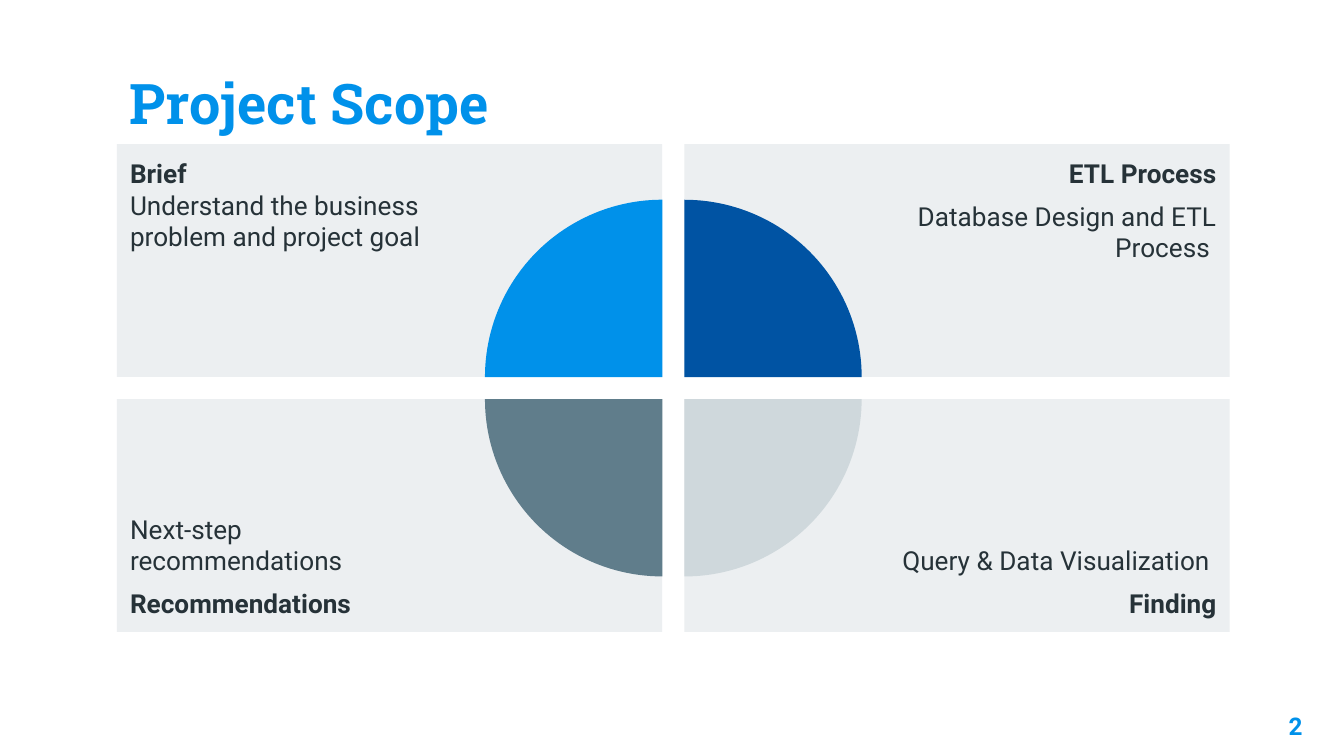
from pptx import Presentation
from pptx.dml.color import RGBColor
from pptx.enum import shapes, text
from pptx.util import Pt


def paint(fill, color):
    fill.solid()
    fill.fore_color.rgb = RGBColor.from_string(color)


def style(p, size, color, bold, font="Roboto", align=text.PP_ALIGN.LEFT):
    p.alignment = align
    for r in p.runs:
        r.font.name = font
        r.font.size = Pt(size)
        r.font.bold = bold
        paint(r.font.fill, color)


LEFT, RIGHT = text.PP_ALIGN.LEFT, text.PP_ALIGN.RIGHT
TOP, BOTTOM = text.MSO_ANCHOR.TOP, text.MSO_ANCHOR.BOTTOM
X, Y, W, H, GAP = 62.6, 77.2, 292.2, 124.8, 11.8
PIE = 190

prs = Presentation()
prs.slide_width, prs.slide_height = Pt(720), Pt(405)
s = prs.slides.add_slide(prs.slide_layouts[5])

title = s.shapes.title
title.left, title.top, title.width, title.height = Pt(62.2), Pt(24.5), Pt(596), Pt(55.5)
tf = title.text_frame
tf.text = "Project Scope"
tf.auto_size = text.MSO_AUTO_SIZE.NONE
tf.vertical_anchor = BOTTOM
tf.margin_left = tf.margin_right = tf.margin_top = tf.margin_bottom = Pt(7.2)
style(tf.paragraphs[0], 30, "0091EA", True, "Roboto Slab")

number = s.shapes.add_textbox(Pt(661.6), Pt(374), Pt(43.2), Pt(31))
tf = number.text_frame
tf.word_wrap = True
tf.margin_left = tf.margin_right = tf.margin_top = tf.margin_bottom = Pt(7.2)
tf.text = "2"
style(tf.paragraphs[0], 13, "0091EA", True, align=RIGHT)

panels = [
    (0, 0, [("Brief", True, 0),
            ("Understand the business problem and project goal", False, 0)]),
    (1, 0, [("ETL Process", True, 0),
            ("Database Design and ETL Process ", False, 6)]),
    (0, 1, [("Next-step recommendations", False, 0),
            ("Recommendations", True, 6)]),
    (1, 1, [("Query & Data Visualization ", False, 0),
            ("Finding", True, 6)]),
]
for col, row, lines in panels:
    sp = s.shapes.add_shape(shapes.MSO_SHAPE.RECTANGLE, Pt(X + col * (W + GAP)),
                            Pt(Y + row * (H + GAP)), Pt(W), Pt(H))
    sp.shadow.inherit = False
    paint(sp.fill, "ECEFF1")
    sp.line.fill.background()
    tf = sp.text_frame
    tf.word_wrap = True
    tf.vertical_anchor = BOTTOM if row else TOP
    tf.margin_top = tf.margin_bottom = Pt(7.2)
    tf.margin_left = Pt(108 if col else 7.2)
    tf.margin_right = Pt(7.2 if col else 108)
    tf.text = "\n".join(line for line, bold, before in lines)
    for p, (line, bold, before) in zip(tf.paragraphs, lines):
        style(p, 14, "263238", bold, align=RIGHT if col else LEFT)
        p.space_before = Pt(before)
        p.space_after = Pt(before)

quarters = [(0, 0, "0091EA"), (1, 0, "0053A3"), (1, 1, "CFD8DC"), (0, 1, "607D8B")]
for i, (col, row, color) in enumerate(quarters):
    sp = s.shapes.add_shape(shapes.MSO_SHAPE.PIE, Pt(X + W + col * GAP - PIE / 2),
                            Pt(Y + H + row * GAP - PIE / 2), Pt(PIE), Pt(PIE))
    sp.adjustments[0] = 108
    sp.adjustments[1] = 162
    sp.rotation = 90 * i
    sp.shadow.inherit = False
    paint(sp.fill, color)
    sp.line.fill.background()

prs.save("out.pptx")
